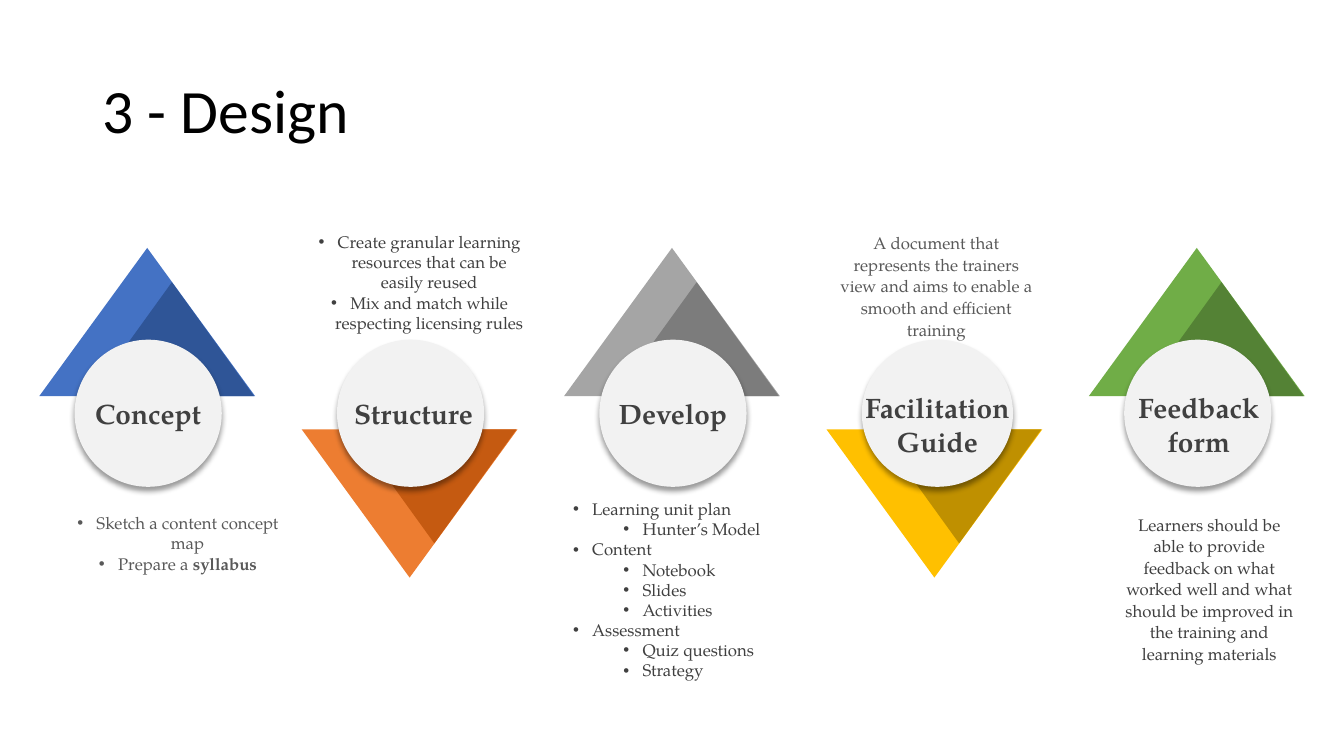
from collections import namedtuple

from lxml import etree
from pptx import Presentation
from pptx.dml.color import RGBColor
from pptx.enum.shapes import MSO_SHAPE as Shape
from pptx.enum.text import MSO_ANCHOR as Anchor, MSO_AUTO_SIZE as AutoSize, PP_ALIGN as Align
from pptx.oxml.ns import qn
from pptx.util import Emu, Inches, Pt

COLORS = {
    "black": "000000", "dark": "404040", "soft": "595959", "disc": "F2F2F2",
    "blue": "4472C4", "blue shade": "2F5597",
    "orange": "ED7D31", "orange shade": "C55A11",
    "gray": "A5A5A5", "gray shade": "7C7C7C",
    "gold": "FFC000", "gold shade": "BF9000",
    "green": "70AD47", "green shade": "548235",
}
SERIF = "TeX Gyre Pagella"
WIDTH, HEIGHT = 13.33, 7.5
MARGIN, PITCH = 0.39, 2.6025
TRIANGLE_W, TRIANGLE_H = 2.14, 1.47
SHADE_W, SHADE_H = 1.63, 1.13
UP_TOP, DOWN_TOP, DISC_TOP = 2.46, 4.26, 3.37
BULLET_INDENT, LEVEL_STEP = 0.19, 0.5

Box = namedtuple("Box", "left top width height")
# Note left and label left are measured from the column's left edge.
Step = namedtuple("Step", "label color points_up disc_width label_box note_box note ink bulleted align")

STEPS = [
    Step("Concept", "blue", True, 1.46, Box(0.4, 3.88, 1.36, 0.44),
         Box(0.23, 5.04, 2.29, 0.71),
         [(0, "Sketch a content concept map"), (0, "Prepare a ", "syllabus")],
         "soft", True, Align.CENTER),
    Step("Structure", "orange", False, 1.46, Box(0.36, 3.88, 1.5, 0.44),
         Box(-0.02, 2.25, 2.38, 1.11),
         [(0, "Create granular learning resources that can be easily reused"),
          (0, "Mix and match while respecting licensing rules")],
         "dark", True, Align.CENTER),
    Step("Develop", "gray", True, 1.46, Box(0.4, 3.88, 1.36, 0.44),
         Box(-0.01, 4.9, 2.27, 1.92),
         [(0, "Learning unit plan"), (1, "Hunter’s Model"),
          (0, "Content"), (1, "Notebook"), (1, "Slides"), (1, "Activities"),
          (0, "Assessment"), (1, "Quiz questions"), (1, "Strategy")],
         "dark", True, Align.LEFT),
    Step("Facilitation Guide", "gold", False, 1.5, Box(0.19, 3.83, 1.82, 0.77),
         Box(0.02, 2.25, 2.14, 1.17),
         [(0, "A document that represents the trainers view and aims to "
              "enable a smooth and efficient training")],
         "soft", False, Align.CENTER),
    Step("Feedback form", "green", True, 1.46, Box(0.36, 3.83, 1.46, 0.77),
         Box(0.26, 5.04, 1.87, 1.39),
         [(0, "Learners should be able to provide feedback on what worked well "
              "and what should be improved in the training and learning materials")],
         "dark", False, Align.CENTER),
]


def rgb(name):
    return RGBColor.from_string(COLORS[name])


def emus(box):
    return [Inches(length) for length in box]


def shift(box, left):
    return box._replace(left=box.left + left)


def add_span(para, text, size=12, color="dark", bold=False, font=SERIF):
    span = para.add_run()
    span.text = text
    span.font.name = font
    span.font.size = Pt(size)
    span.font.bold = bold
    span.font.color.rgb = rgb(color)


def add_filled(page, kind, box, color):
    shape = page.shapes.add_shape(kind, *emus(box))
    shape.shadow.inherit = False
    shape.fill.solid()
    shape.fill.fore_color.rgb = rgb(color)
    shape.line.fill.background()
    return shape


def add_drop_shadow(shape):
    effects = shape._element.spPr.find(qn("a:effectLst"))
    shadow = etree.SubElement(effects, qn("a:outerShdw"), blurRad=str(Pt(4)),
                              dist=str(Pt(3)), dir="5400000", algn="t", rotWithShape="0")
    color = etree.SubElement(shadow, qn("a:srgbClr"), val=COLORS["black"])
    etree.SubElement(color, qn("a:alpha"), val="40000")


def add_bullet(para, level):
    para.level = level
    props = para._p.get_or_add_pPr()
    props.set("marL", str(Inches(BULLET_INDENT + level * LEVEL_STEP)))
    props.set("indent", str(Inches(-BULLET_INDENT)))
    etree.SubElement(props, qn("a:buFont"), typeface="Arial")
    etree.SubElement(props, qn("a:buChar"), char="•")


def add_text_frame(page, box):
    frame = page.shapes.add_textbox(*emus(box)).text_frame
    frame.word_wrap = True
    frame.auto_size = AutoSize.SHAPE_TO_FIT_TEXT
    return frame


def add_emblem(page, step, left):
    """Two-tone triangle with the labelled disc over its base."""
    top = UP_TOP if step.points_up else DOWN_TOP
    shade_top = top + TRIANGLE_H - SHADE_H if step.points_up else top
    parts = [
        (Box(left, top, TRIANGLE_W, TRIANGLE_H), step.color),
        (Box(left + 0.5, shade_top, SHADE_W, SHADE_H), step.color + " shade"),
    ]
    for box, color in parts:
        triangle = add_filled(page, Shape.ISOSCELES_TRIANGLE, box, color)
        triangle.rotation = 0 if step.points_up else 180

    disc = add_filled(page, Shape.OVAL, Box(left + 0.35, DISC_TOP, step.disc_width, 1.46), "disc")
    add_drop_shadow(disc)

    para = add_text_frame(page, shift(step.label_box, left)).paragraphs[0]
    para.alignment = Align.CENTER
    add_span(para, step.label, size=20, bold=True)


def add_note(page, step, left):
    frame = add_text_frame(page, shift(step.note_box, left))
    for index, (level, text, *strong) in enumerate(step.note):
        para = frame.add_paragraph() if index else frame.paragraphs[0]
        para.alignment = step.align
        if step.bulleted:
            add_bullet(para, level)
        else:
            para.line_spacing = 1.07
            para.space_before = para.space_after = Pt(12)
        add_span(para, text, color=step.ink)
        for word in strong:
            add_span(para, word, color=step.ink, bold=True)


def set_title(page, text, box):
    title = page.shapes.title
    title.left, title.top, title.width, title.height = emus(box)
    frame = title.text_frame
    frame.word_wrap = True
    frame.auto_size = AutoSize.NONE
    frame.vertical_anchor = Anchor.MIDDLE
    para = frame.paragraphs[0]
    para.alignment = Align.LEFT
    para.line_spacing = 0.9
    add_span(para, text, size=44, color="black", font="Calibri")


def main():
    deck = Presentation()
    deck.slide_width, deck.slide_height = Emu(Inches(WIDTH)), Emu(Inches(HEIGHT))
    page = deck.slides.add_slide(deck.slide_layouts.get_by_name("Title Only"))
    set_title(page, "3 - Design", Box(0.92, 0.4, 11.5, 1.45))
    for column, step in enumerate(STEPS):
        left = MARGIN + column * PITCH
        add_emblem(page, step, left)
        add_note(page, step, left)
    deck.save("out.pptx")


if __name__ == "__main__":
    main()
